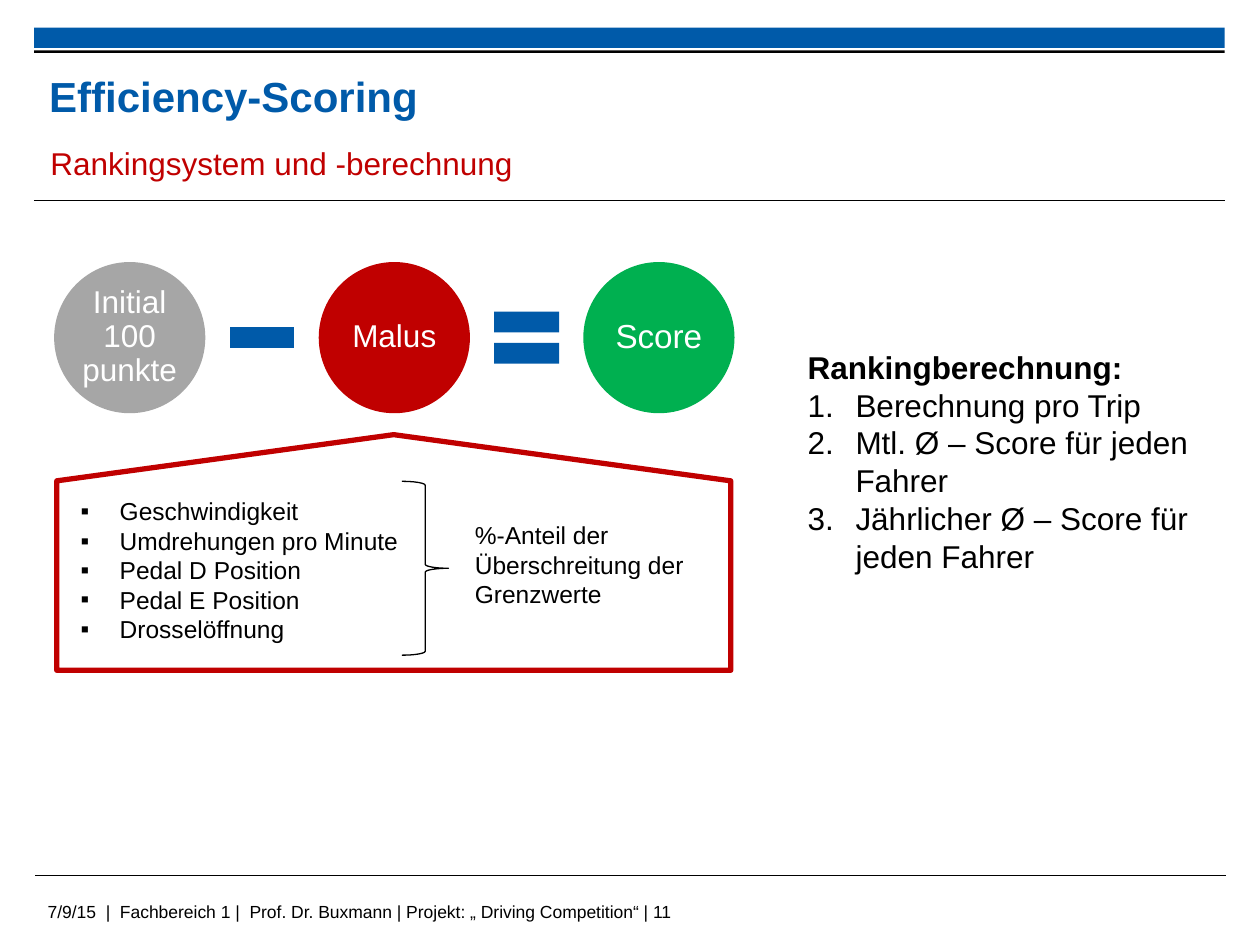
from dataclasses import dataclass

from lxml import etree
from pptx import Presentation
from pptx import util as u
from pptx.dml.color import RGBColor
from pptx.enum import shapes, text
from pptx.oxml.ns import qn

SHAPE = shapes.MSO_SHAPE
ANCHOR = text.MSO_ANCHOR


@dataclass(frozen=True)
class Theme:
    font: str = "Arial"
    blue: str = "005AA9"
    red: str = "C00000"
    green: str = "00B050"
    grey: str = "A6A6A6"
    black: str = "000000"
    white: str = "FFFFFF"
    title: int = 24
    result: int = 19
    body: int = 18
    detail: int = 14
    footer: int = 10


THEME = Theme()


def set_bullet(para, indent, tag, **attributes):
    """Give the paragraph a hanging indent and a bullet element such as a:buChar."""
    properties = para._p.get_or_add_pPr()
    properties.set("marL", str(u.Inches(indent)))
    properties.set("indent", str(-u.Inches(indent)))
    if tag in ("a:buChar", "a:buAutoNum"):
        etree.SubElement(properties, qn("a:buFont"), typeface=THEME.font)
    etree.SubElement(properties, qn(tag), **attributes)


def write(frame, lines, size=THEME.body, color=THEME.black, bold=False,
          align=text.PP_ALIGN.LEFT, anchor=ANCHOR.TOP, margins=(0.1, 0.05), spacing=1.0):
    """Fill a text frame with one paragraph per line; margins are (sides, top and bottom)."""
    frame.word_wrap = True
    frame.auto_size = text.MSO_AUTO_SIZE.NONE
    frame.vertical_anchor = anchor
    frame.margin_left = frame.margin_right = u.Inches(margins[0])
    frame.margin_top = frame.margin_bottom = u.Inches(margins[1])
    for index, line in enumerate(lines):
        para = frame.add_paragraph() if index else frame.paragraphs[0]
        para.alignment = align
        para.line_spacing = spacing
        para.space_before = para.space_after = u.Pt(0)
        span = para.add_run()
        span.text = line
        span.font.name = THEME.font
        span.font.size = u.Pt(size)
        span.font.bold = bold
        span.font.color.rgb = RGBColor.from_string(color)
    return frame.paragraphs


class SlideBuilder:
    def __init__(self, page, theme):
        self.page = page
        self.theme = theme

    def shape(self, kind, box, fill=None, line=None, width=1):
        item = self.page.shapes.add_shape(kind, *map(u.Inches, box))
        item.shadow.inherit = False
        if fill:
            item.fill.solid()
            item.fill.fore_color.rgb = RGBColor.from_string(fill)
        else:
            item.fill.background()
        if line:
            item.line.color.rgb = RGBColor.from_string(line)
            item.line.width = u.Pt(width)
        else:
            item.line.fill.background()
        return item

    def rule(self, left, right, top):
        line = self.page.shapes.add_connector(
            shapes.MSO_CONNECTOR.STRAIGHT, *map(u.Inches, (left, top, right, top)))
        line.line.color.rgb = RGBColor.from_string(self.theme.black)
        line.line.width = u.Pt(0.6)
        etree.SubElement(line._element.spPr, qn("a:effectLst"))

    def textbox(self, box, lines, **style):
        item = self.page.shapes.add_textbox(*map(u.Inches, box))
        return write(item.text_frame, lines, **style)

    def placeholder(self, index, box, lines, **style):
        item = self.page.placeholders[index]
        item.left, item.top, item.width, item.height = map(u.Inches, box)
        return write(item.text_frame, lines, **style)

    def circle(self, box, label, fill, size):
        item = self.shape(SHAPE.OVAL, box, fill)
        write(item.text_frame, [label], size=size, color=self.theme.white,
              align=text.PP_ALIGN.CENTER, anchor=ANCHOR.MIDDLE,
              margins=(0.03, 0.03), spacing=0.9)


def add_frame(builder):
    theme = builder.theme
    builder.shape(SHAPE.RECTANGLE, (0.27, 0.22, 9.45, 0.16), theme.blue)
    builder.shape(SHAPE.RECTANGLE, (0.27, 0.4, 9.45, 0.02), theme.black)
    builder.rule(0.27, 9.72, 1.59)
    builder.rule(0.28, 9.73, 6.95)
    builder.textbox(
        (0.28, 7.1, 7.87, 0.25),
        ["7/9/15  |  Fachbereich 1 |  Prof. Dr. Buxmann | Projekt: „ Driving Competition“ | 11"],
        size=theme.footer)
    heading = {"anchor": ANCHOR.MIDDLE, "margins": (0, 0)}
    builder.placeholder(0, (0.39, 0.53, 7.26, 0.46), ["Efficiency-Scoring"],
                        size=theme.title, color=theme.blue, bold=True, **heading)
    builder.textbox((0.4, 1.11, 7.59, 0.36), ["Rankingsystem und -berechnung"],
                    color=theme.red, **heading)


def add_equation(builder):
    theme = builder.theme
    diameter, sign, gap, left, middle = 1.2, 0.7, 0.1, 0.43, 2.68
    terms = [
        ("Initial 100 punkte", theme.grey, theme.body, SHAPE.MATH_MINUS),
        ("Malus", theme.red, theme.body, SHAPE.MATH_EQUAL),
        ("Score", theme.green, theme.result, None),
    ]
    for label, fill, size, operator in terms:
        builder.circle((left, middle - diameter / 2, diameter, diameter), label, fill, size)
        left += diameter + gap
        if operator:
            builder.shape(operator, (left, middle - sign / 2, sign, sign), theme.blue)
            left += sign + gap


def add_malus_details(builder):
    theme = builder.theme
    criteria = ["Geschwindigkeit", "Umdrehungen pro Minute", "Pedal D Position",
                "Pedal E Position", "Drosselöffnung"]
    for para in builder.placeholder(1, (0.54, 3.89, 3.07, 1.28), criteria, size=theme.detail):
        set_bullet(para, 0.31, "a:buChar", char="▪")
    builder.shape(SHAPE.RIGHT_BRACE, (3.19, 3.82, 0.37, 1.38), line=theme.black, width=0.75)
    builder.textbox((3.67, 4.08, 1.99, 0.81),
                    ["%-Anteil der Überschreitung der Grenzwerte"], size=theme.detail)
    callout = builder.shape(SHAPE.UP_ARROW_CALLOUT, (0.45, 3.45, 5.35, 1.87),
                            line=theme.red, width=3)
    # The arrow head spans the full width, so the callout reads as a house.
    for index, value in enumerate((2.86, 1.43, 0.196, 0)):
        callout.adjustments[index] = value


def add_ranking(builder):
    lines = ["Rankingberechnung:", "Berechnung pro Trip", "Mtl. Ø – Score für jeden Fahrer",
             "Jährlicher Ø – Score für jeden Fahrer"]
    heading, *steps = builder.placeholder(2, (6.31, 2.71, 3.62, 2.22), lines)
    heading.runs[0].font.bold = True
    set_bullet(heading, 0, "a:buNone")
    for para in steps:
        set_bullet(para, 0.38, "a:buAutoNum", type="arabicPeriod")


def main():
    deck = Presentation()
    deck.slide_width, deck.slide_height = u.Inches(10), u.Inches(7.5)
    two_content = deck.slide_layouts[3]
    builder = SlideBuilder(deck.slides.add_slide(two_content), THEME)
    add_frame(builder)
    add_equation(builder)
    add_malus_details(builder)
    add_ranking(builder)
    deck.save("out.pptx")


if __name__ == "__main__":
    main()
